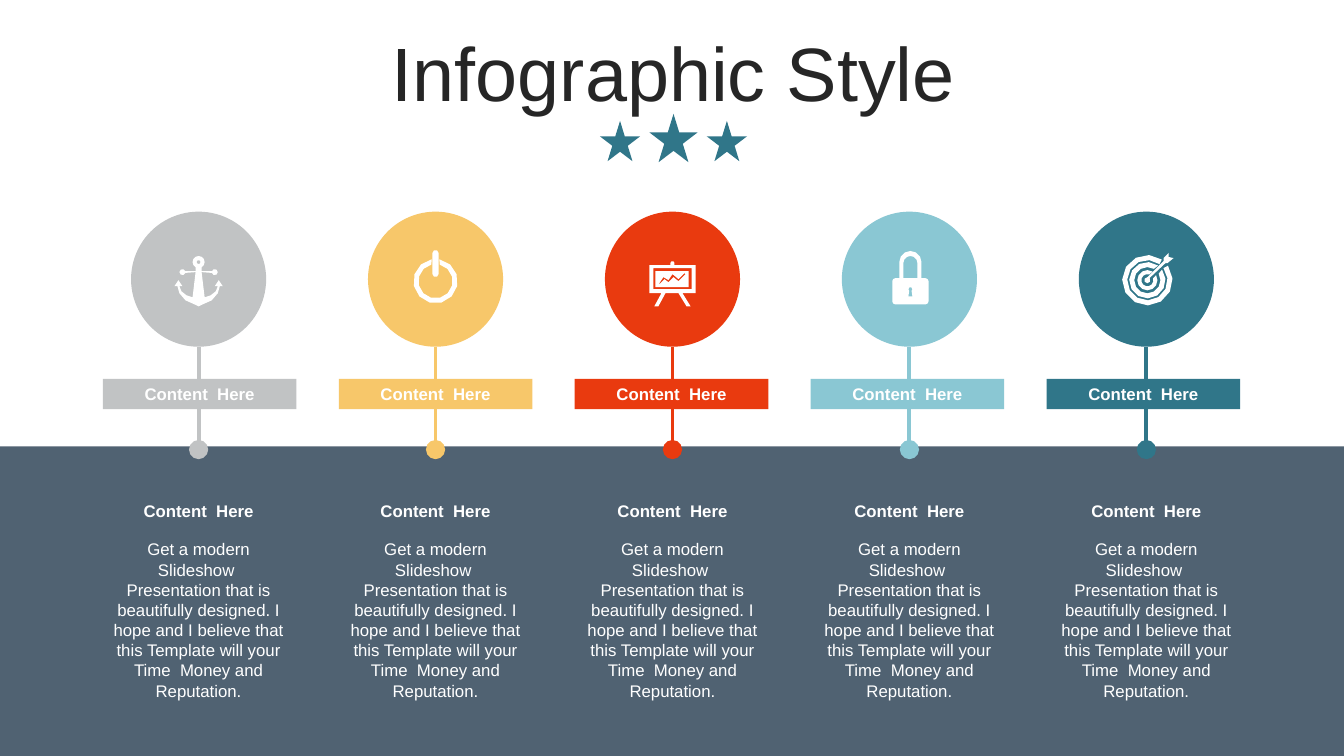
"""Builds the five-step "Infographic Style" slide."""
from math import cos, radians, sin

from lxml import etree
from pptx import Presentation
from pptx import util as u
from pptx.dml.color import RGBColor
from pptx.enum import shapes, text
from pptx.oxml.ns import qn

WHITE, TEAL, SLATE, INK = "FFFFFF", "307689", "506272", "262626"
STEP_COLOURS = ["C1C3C4", "F7C76A", "E93A0F", "8AC7D3", TEAL]
LABEL = "Content  Here"
BODY = ("Get a modern Slideshow  Presentation that is beautifully designed. "
        "I hope and I believe that this Template will your Time  Money and Reputation.")


def paint(shape, colour):
    shape.shadow.inherit = False
    shape.fill.solid()
    shape.fill.fore_color.rgb = RGBColor.from_string(colour)
    shape.line.fill.background()


def arc(x, y, radius, start=0, end=360):
    """Points along an arc, clockwise from the right, in degrees."""
    steps = max(2, round(abs(end - start) / (60 if radius < 0.05 else 30)))
    angles = [radians(start + (end - start) * i / steps) for i in range(steps + 1)]
    return [(x + radius * cos(a), y + radius * sin(a)) for a in angles]


anchor_half = [
    *arc(0, -0.17, 0.06, -90, 60), (0.03, -0.08), (0.13, -0.08),
    *arc(0.16, -0.07, 0.03, 195, 525), (0.03, -0.07), (0.06, 0.18),
    (0.12, 0.16), (0.17, 0.12), (0.19, 0.07), (0.16, 0.07), (0.2, 0.01),
    (0.24, 0.07), (0.21, 0.07), (0.19, 0.14), (0.13, 0.21), (0.04, 0.25), (0, 0.27),
]
anchor = [anchor_half + [(-x, y) for x, y in reversed(anchor_half[1:-1])],
          arc(0, -0.17, 0.02)]

power = [
    arc(0, 0.02, 0.22, -80, 260) + arc(0, 0.02, 0.17, 256, -76),
    arc(0, -0.26, 0.03, 180, 360) + arc(0, -0.05, 0.03, 0, 180),
]

board = [
    [*arc(0, -0.16, 0.02, 180, 360), (0.02, -0.14), (0.23, -0.14), (0.23, 0.14),
     (0.1, 0.14), (0.18, 0.27), (0.14, 0.27), (0.06, 0.14), (-0.07, 0.14),
     (-0.14, 0.27), (-0.18, 0.27), (-0.11, 0.14), (-0.23, 0.14), (-0.23, -0.14),
     (-0.02, -0.14)],
    [(-0.19, -0.11), (0.19, -0.11), (0.19, 0.1), (-0.19, 0.1)],
    [(-0.17, -0.08), (0.16, -0.08), (0.16, 0.08), (-0.17, 0.08)],
    [(-0.13, 0.05), (-0.08, 0), (-0.04, 0.03), (0.01, -0.02), (0.06, 0.02),
     (0.13, -0.05), (0.12, -0.06), (0.06, 0), (0, -0.05), (-0.04, 0.01),
     (-0.09, -0.02), (-0.13, 0.04)],
]

padlock = [
    [*arc(0.01, -0.17, 0.11, 180, 360), (0.12, -0.01),
     *arc(0.16, 0.02, 0.03, 270, 360), *arc(0.16, 0.22, 0.03, 0, 90),
     *arc(-0.14, 0.22, 0.03, 90, 180), *arc(-0.14, 0.02, 0.03, 180, 270),
     (-0.1, -0.01)],
    [*arc(0.01, -0.16, 0.07, 180, 360), (0.08, -0.01), (-0.06, -0.01)],
    [*arc(0.01, 0.1, 0.02, 125, 415), (0.03, 0.17), (-0.01, 0.17)],
]

target = [
    arc(0.01, 0.01, outer, -45 + outer_gap, 315 - outer_gap)
    + arc(0.01, 0.01, inner, 315 - inner_gap, -45 + inner_gap)
    for outer, inner, outer_gap, inner_gap in [
        (0.25, 0.2, 10, 8), (0.18, 0.13, 9, 15), (0.1, 0.06, 15, 27)]
]
target.append([
    *arc(0.01, 0.01, 0.03, -30, 270), (0.17, -0.18), (0.17, -0.21), (0.22, -0.26),
    (0.22, -0.22), (0.27, -0.21), (0.21, -0.16), (0.19, -0.16), (0.03, -0.01),
])

presentation = Presentation()
presentation.slide_width = u.Inches(13.33)
presentation.slide_height = u.Inches(7.5)
slide = presentation.slides.add_slide(presentation.slide_layouts[6])
drawing = slide.shapes

for left, top, size in [(6.44, 1.13, 0.48), (7.01, 1.2, 0.4), (5.95, 1.2, 0.4)]:
    star = drawing.add_shape(shapes.MSO_SHAPE.STAR_5_POINT, u.Inches(left),
                             u.Inches(top), u.Inches(size), u.Inches(size))
    paint(star, TEAL)

band = drawing.add_shape(shapes.MSO_SHAPE.RECTANGLE, 0, u.Inches(4.43),
                         u.Inches(13.33), u.Inches(3.07))
paint(band, SLATE)

title = drawing.add_textbox(u.Inches(0.35), u.Inches(0.37),
                            u.Inches(12.66), u.Inches(0.79))
written = [(title, "Infographic Style", 54, False, INK, text.MSO_ANCHOR.MIDDLE)]

icons = [anchor, power, board, padlock, target]
for step, (colour, icon) in enumerate(zip(STEP_COLOURS, icons)):
    centre_x, centre_y = 1.97 + 2.35 * step, 2.77

    circle = drawing.add_shape(shapes.MSO_SHAPE.OVAL, u.Inches(centre_x - 0.67),
                               u.Inches(2.1), u.Inches(1.34), u.Inches(1.34))
    paint(circle, colour)

    stem = drawing.add_connector(shapes.MSO_CONNECTOR.STRAIGHT, u.Inches(centre_x),
                                 u.Inches(3.44), u.Inches(centre_x), u.Inches(4.46))
    stem.line.color.rgb = RGBColor.from_string(colour)
    stem.line.width = u.Pt(2.75)
    etree.SubElement(stem.line._get_or_add_ln(), qn("a:tailEnd"),
                     type="oval", w="lg", len="lg")
    etree.SubElement(stem._element.spPr, qn("a:effectLst"))

    label = drawing.add_shape(shapes.MSO_SHAPE.RECTANGLE, u.Inches(1.02 + 2.34 * step),
                              u.Inches(3.76), u.Inches(1.92), u.Inches(0.3))
    paint(label, colour)

    text_left = u.Inches(1.01 + 2.35 * step)
    heading = drawing.add_textbox(text_left, u.Inches(4.92),
                                  u.Inches(1.92), u.Inches(0.3))
    body = drawing.add_textbox(text_left, u.Inches(5.3),
                               u.Inches(1.92), u.Inches(1.72))
    written += [(label, LABEL, 12, True, WHITE, text.MSO_ANCHOR.MIDDLE),
                (heading, LABEL, 12, True, WHITE, text.MSO_ANCHOR.MIDDLE),
                (body, BODY, 12, False, WHITE, text.MSO_ANCHOR.TOP)]

    outlines = [[(u.Inches(centre_x + x), u.Inches(centre_y + y)) for x, y in outline]
                for outline in icon]
    builder = drawing.build_freeform(*outlines[0][0])
    builder.add_line_segments(outlines[0][1:], close=True)
    for outline in outlines[1:]:
        builder.move_to(*outline[0])
        builder.add_line_segments(outline[1:], close=True)
    paint(builder.convert_to_shape(), WHITE)

for shape, wording, size, bold, colour, anchoring in written:
    frame = shape.text_frame
    frame.word_wrap = True
    frame.vertical_anchor = anchoring
    frame.text = wording
    paragraph = frame.paragraphs[0]
    paragraph.alignment = text.PP_ALIGN.CENTER
    font = paragraph.runs[0].font
    font.name, font.size, font.bold = "Arial", u.Pt(size), bold
    font.color.rgb = RGBColor.from_string(colour)
title.text_frame.paragraphs[0].line_spacing = 0.9

presentation.save("out.pptx")
